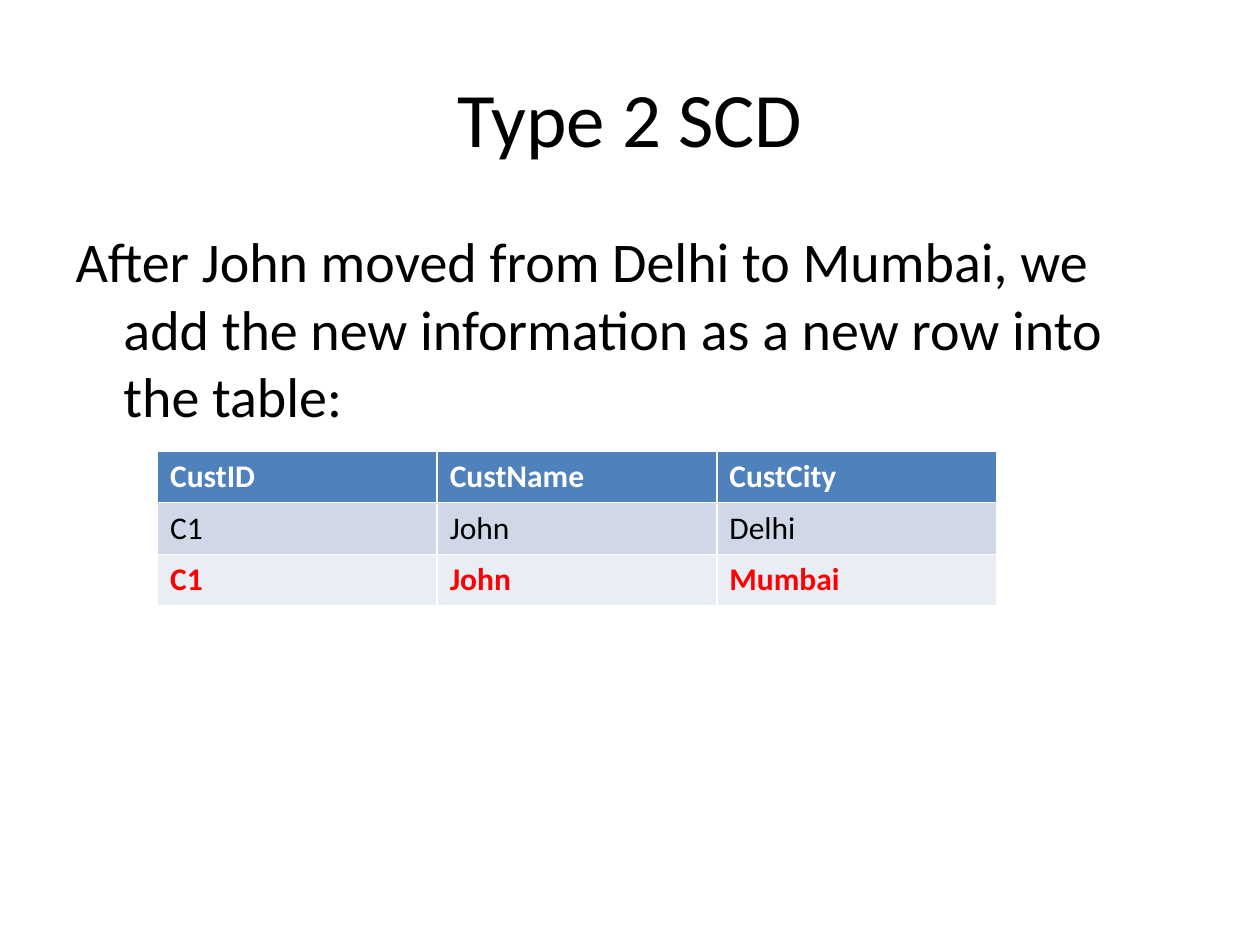
from pptx import Presentation
from pptx.dml.color import RGBColor
from pptx.enum import text
from pptx.oxml.xmlchemy import OxmlElement
from pptx.util import Inches, Pt

# Content
TITLE = "Type 2 SCD"
BODY = ("After John moved from Delhi to Mumbai, we add the new information "
        "as a new row into the table:")
# Each row: cell texts, fill, font colour, bold
ROWS = [
    (("CustID", "CustName", "CustCity"), "4F81BD", "FFFFFF", True),
    (("C1", "John", "Delhi"), "D0D8E8", "000000", False),
    (("C1", "John", "Mumbai"), "E9EDF4", "FF0000", True),
]
COLUMN_WIDTH = 2.22
ROW_HEIGHT = 0.41


def set_font(paragraph, size, color="000000", bold=False):
    font = paragraph.font
    font.name = "Calibri"
    font.size = Pt(size)
    font.bold = bold
    font.color.rgb = RGBColor.from_string(color)


def place(shape, left, top, width, height):
    shape.left, shape.top = Inches(left), Inches(top)
    shape.width, shape.height = Inches(width), Inches(height)


presentation = Presentation()
presentation.slide_width = Inches(10)
presentation.slide_height = Inches(7.5)
slide = presentation.slides.add_slide(presentation.slide_layouts[1])

# Title
title = slide.shapes.title
place(title, 0.5, 0.3, 9, 1.25)
title.text_frame.text = TITLE
title.text_frame.vertical_anchor = text.MSO_ANCHOR.MIDDLE
paragraph = title.text_frame.paragraphs[0]
paragraph.alignment = text.PP_ALIGN.CENTER
set_font(paragraph, 44)

# Body with a hanging indent and no bullet
body = slide.placeholders[1]
place(body, 0.5, 1.75, 9, 4.95)
body.text_frame.text = BODY
paragraph = body.text_frame.paragraphs[0]
properties = paragraph._p.get_or_add_pPr()
properties.set("marL", str(Inches(0.38)))
properties.set("indent", str(Inches(-0.38)))
properties.append(OxmlElement("a:buNone"))
paragraph.space_before = Pt(0)
set_font(paragraph, 32)

# Customer table; the default table style draws the white borders
column_count = len(ROWS[0][0])
table = slide.shapes.add_table(
    len(ROWS), column_count, Inches(1.25), Inches(3.58),
    Inches(COLUMN_WIDTH * column_count), Inches(ROW_HEIGHT * len(ROWS))).table
for column in table.columns:
    column.width = Inches(COLUMN_WIDTH)
for row, (values, fill, color, bold) in zip(table.rows, ROWS):
    row.height = Inches(ROW_HEIGHT)
    for cell, value in zip(row.cells, values):
        cell.text = value
        cell.fill.solid()
        cell.fill.fore_color.rgb = RGBColor.from_string(fill)
        set_font(cell.text_frame.paragraphs[0], 18, color, bold)

presentation.save("out.pptx")
